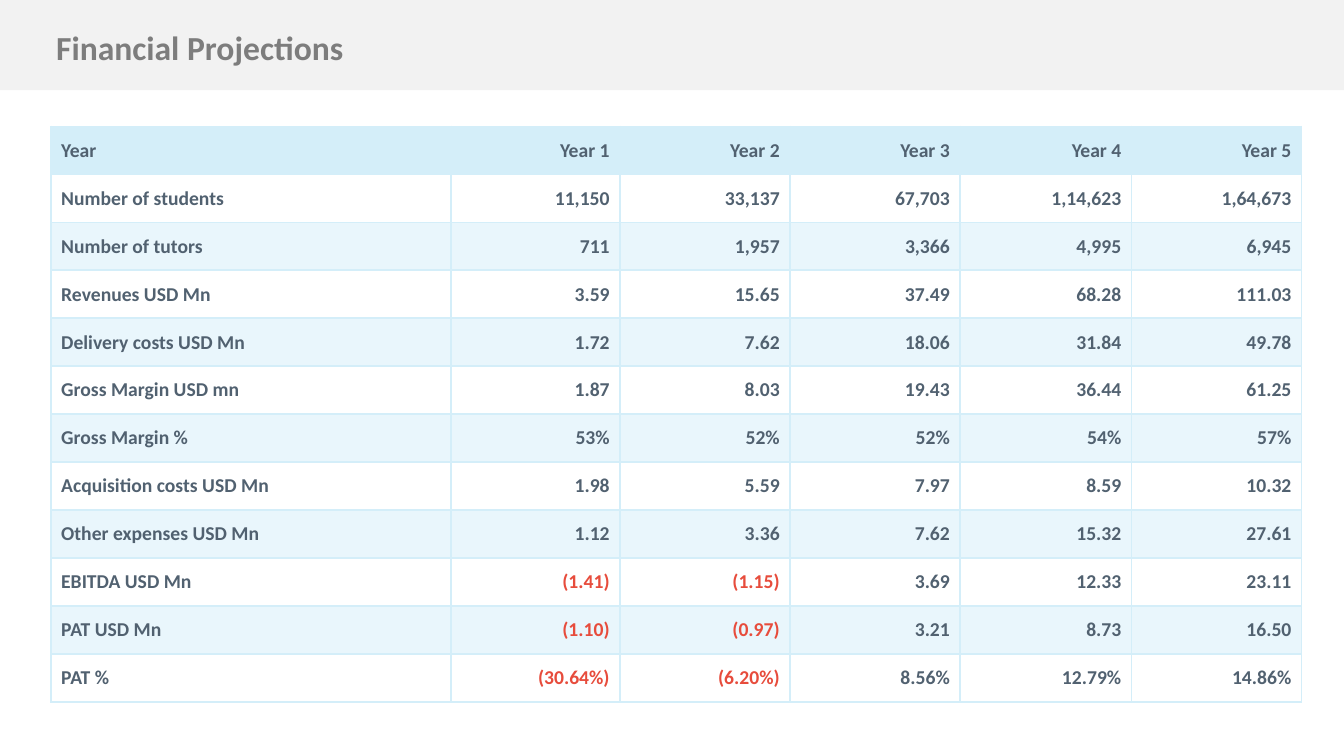
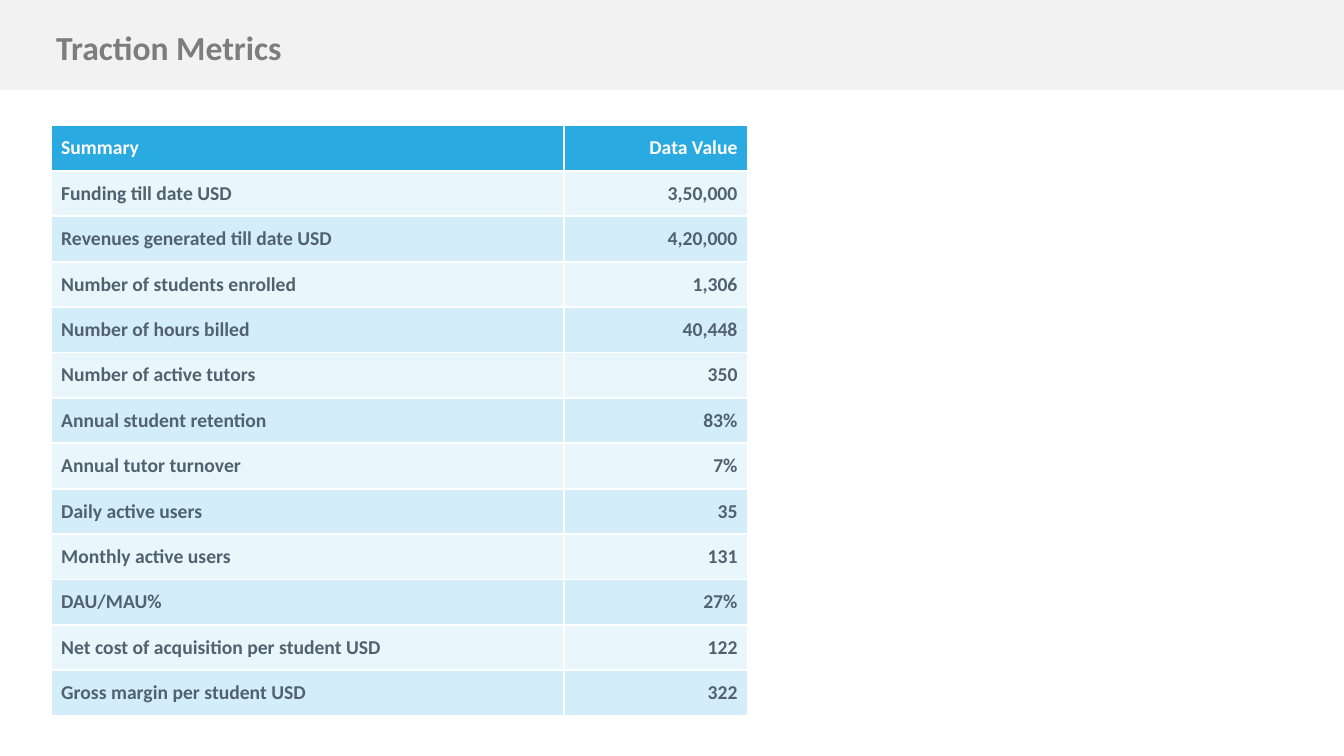
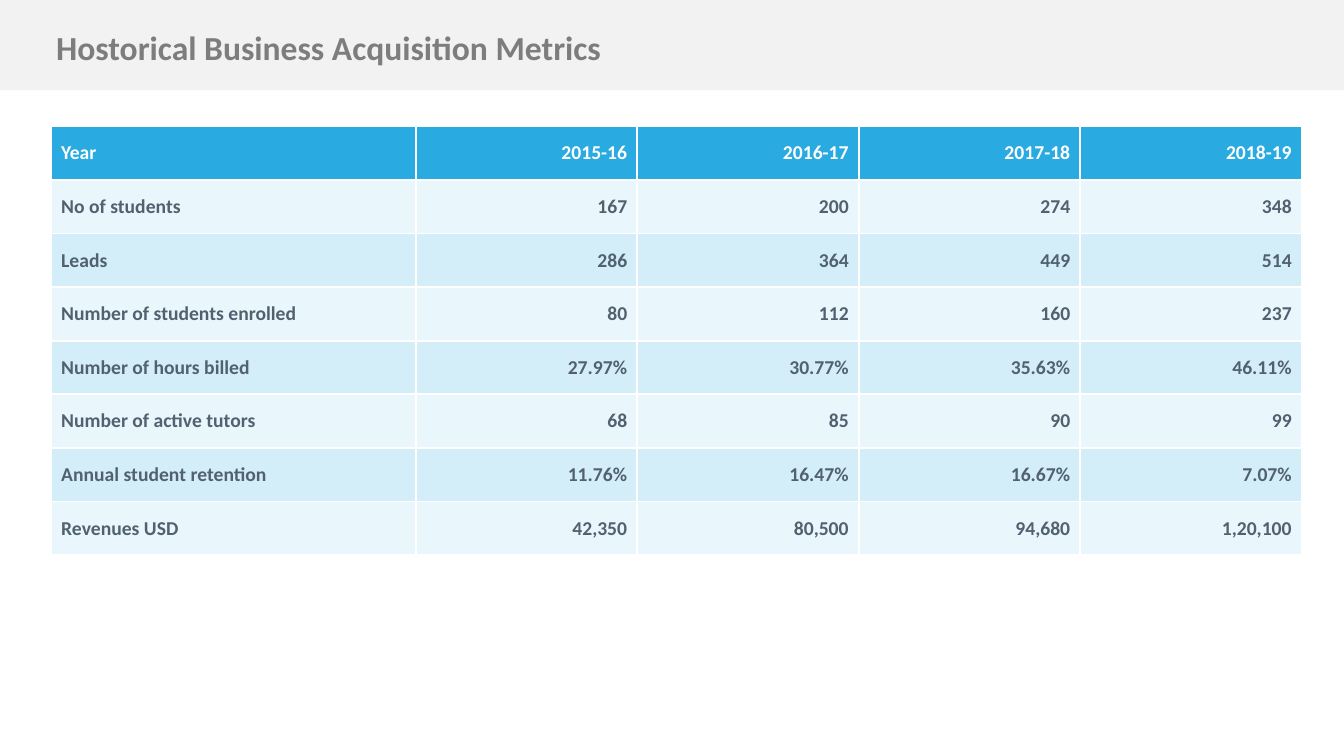
from lxml import etree
from pptx import Presentation
from pptx.dml.color import RGBColor
from pptx.enum import shapes, text
from pptx.oxml import ns
from pptx.util import Pt

# Shared colours, sizes and text formats
BAND_GREY = RGBColor(0xF2, 0xF2, 0xF2)
TITLE_GREY = RGBColor(0x7D, 0x7D, 0x7D)
SLATE = RGBColor(0x51, 0x61, 0x70)
RED = RGBColor(0xE7, 0x4C, 0x3C)
WHITE = RGBColor(0xFF, 0xFF, 0xFF)
BLUE = RGBColor(0x29, 0xAA, 0xE1)
SKY = RGBColor(0xD4, 0xEE, 0xF9)
PALE = RGBColor(0xE9, 0xF6, 0xFC)

WIDTH, HEIGHT = Pt(960), Pt(540)
LEFT = Pt(36.5)
TITLE_BOX = dict(left=LEFT, top=Pt(18.5), width=Pt(651), height=Pt(33.25))
TITLE_FRAME = dict(margin_left=Pt(3.6), margin_right=Pt(3.6), margin_top=Pt(3.6),
                   margin_bottom=Pt(3.6), word_wrap=True,
                   vertical_anchor=text.MSO_ANCHOR.MIDDLE,
                   auto_size=text.MSO_AUTO_SIZE.SHAPE_TO_FIT_TEXT)
TITLE_FONT = dict(name="Calibri", size=Pt(24), bold=True)
CELL_FONT = dict(name="Calibri", size=Pt(14), bold=True)

# Table styles: header fill and text, alternating row fills, borders
LIGHT = dict(header=SKY, header_text=SLATE, rows=(WHITE, PALE), border=SKY)
STRONG = dict(header=BLUE, header_text=WHITE, rows=(PALE, SKY), border=WHITE)

# Slide content
projections = [
    ("Year", "Year 1", "Year 2", "Year 3", "Year 4", "Year 5"),
    ("Number of students", "11,150", "33,137", "67,703", "1,14,623", "1,64,673"),
    ("Number of tutors", "711", "1,957", "3,366", "4,995", "6,945"),
    ("Revenues USD Mn", "3.59", "15.65", "37.49", "68.28", "111.03"),
    ("Delivery costs USD Mn", "1.72", "7.62", "18.06", "31.84", "49.78"),
    ("Gross Margin USD mn", "1.87", "8.03", "19.43", "36.44", "61.25"),
    ("Gross Margin %", "53%", "52%", "52%", "54%", "57%"),
    ("Acquisition costs USD Mn", "1.98", "5.59", "7.97", "8.59", "10.32"),
    ("Other expenses USD Mn", "1.12", "3.36", "7.62", "15.32", "27.61"),
    ("EBITDA USD Mn", "(1.41)", "(1.15)", "3.69", "12.33", "23.11"),
    ("PAT USD Mn", "(1.10)", "(0.97)", "3.21", "8.73", "16.50"),
    ("PAT %", "(30.64%)", "(6.20%)", "8.56%", "12.79%", "14.86%"),
]
traction = [
    ("Summary", "Data Value"),
    ("Funding till date USD", "3,50,000"),
    ("Revenues generated till date USD", "4,20,000"),
    ("Number of students enrolled", "1,306"),
    ("Number of hours billed", "40,448"),
    ("Number of active tutors", "350"),
    ("Annual student retention", "83%"),
    ("Annual tutor turnover", "7%"),
    ("Daily active users", "35"),
    ("Monthly active users", "131"),
    ("DAU/MAU%", "27%"),
    ("Net cost of acquisition per student USD", "122"),
    ("Gross margin per student USD", "322"),
]
acquisition = [
    ("Year", "2015-16", "2016-17", "2017-18", "2018-19"),
    ("No of students", "167", "200", "274", "348"),
    ("Leads", "286", "364", "449", "514"),
    ("Number of students enrolled", "80", "112", "160", "237"),
    ("Number of hours billed", "27.97%", "30.77%", "35.63%", "46.11%"),
    ("Number of active tutors", "68", "85", "90", "99"),
    ("Annual student retention", "11.76%", "16.47%", "16.67%", "7.07%"),
    ("Revenues USD", "42,350", "80,500", "94,680", "1,20,100"),
]

# Title, rows, style, table top, row height, column widths
pages = [
    ("Financial Projections", projections, LIGHT, 90.4, 34.25,
     (285.75, 120.5, 121.5, 121.5, 122.5, 121.5)),
    ("Traction Metrics", traction, STRONG, 89.6, 32.45, (366.5, 131)),
    ("Hostorical Business Acquisition Metrics", acquisition, STRONG, 90.2, 38.3,
     (260.5,) + (158.25,) * 4),
]


def apply(target, values):
    for key, value in values.items():
        setattr(target, key, value)


def add_borders(cell, color):
    properties = cell._tc.get_or_add_tcPr()
    for side in ("a:lnL", "a:lnR", "a:lnT", "a:lnB"):
        line = etree.SubElement(properties, ns.qn(side), w=str(Pt(1.5)))
        fill = etree.SubElement(line, ns.qn("a:solidFill"))
        etree.SubElement(fill, ns.qn("a:srgbClr"), val=str(color))


deck = Presentation()
deck.slide_width, deck.slide_height = WIDTH, HEIGHT
title_only = deck.slide_layouts[5]

for heading, rows, style, top, row_height, widths in pages:
    slide = deck.slides.add_slide(title_only)

    # Header band behind the title
    title = slide.shapes.title
    band = slide.shapes.add_shape(shapes.MSO_SHAPE.RECTANGLE, 0, 0, WIDTH, Pt(64.5))
    band.shadow.inherit = False
    band.fill.solid()
    band.fill.fore_color.rgb = BAND_GREY
    band.line.fill.background()
    title.element.addprevious(band.element)

    # Title
    apply(title, TITLE_BOX)
    apply(title.text_frame, TITLE_FRAME)
    title.text_frame.text = heading
    line = title.text_frame.paragraphs[0]
    apply(line, dict(alignment=text.PP_ALIGN.LEFT, line_spacing=0.9))
    apply(line.runs[0].font, TITLE_FONT)
    line.runs[0].font.color.rgb = TITLE_GREY

    # Table
    table = slide.shapes.add_table(len(rows), len(widths), LEFT, Pt(top),
                                   Pt(sum(widths)), Pt(row_height * len(rows))).table
    for column, width in zip(table.columns, widths):
        column.width = Pt(width)
    for r, row in enumerate(rows):
        table.rows[r].height = Pt(row_height)
        row_fill = style["rows"][(r - 1) % 2] if r else style["header"]
        row_text = SLATE if r else style["header_text"]
        for c, value in enumerate(row):
            cell = table.cell(r, c)
            add_borders(cell, style["border"])
            cell.fill.solid()
            cell.fill.fore_color.rgb = row_fill
            cell.vertical_anchor = text.MSO_ANCHOR.MIDDLE
            cell.text = value
            entry = cell.text_frame.paragraphs[0]
            entry.alignment = text.PP_ALIGN.RIGHT if c else text.PP_ALIGN.LEFT
            apply(entry.runs[0].font, CELL_FONT)
            # Negative figures stand in brackets
            entry.runs[0].font.color.rgb = RED if value.startswith("(") else row_text

deck.save("out.pptx")
